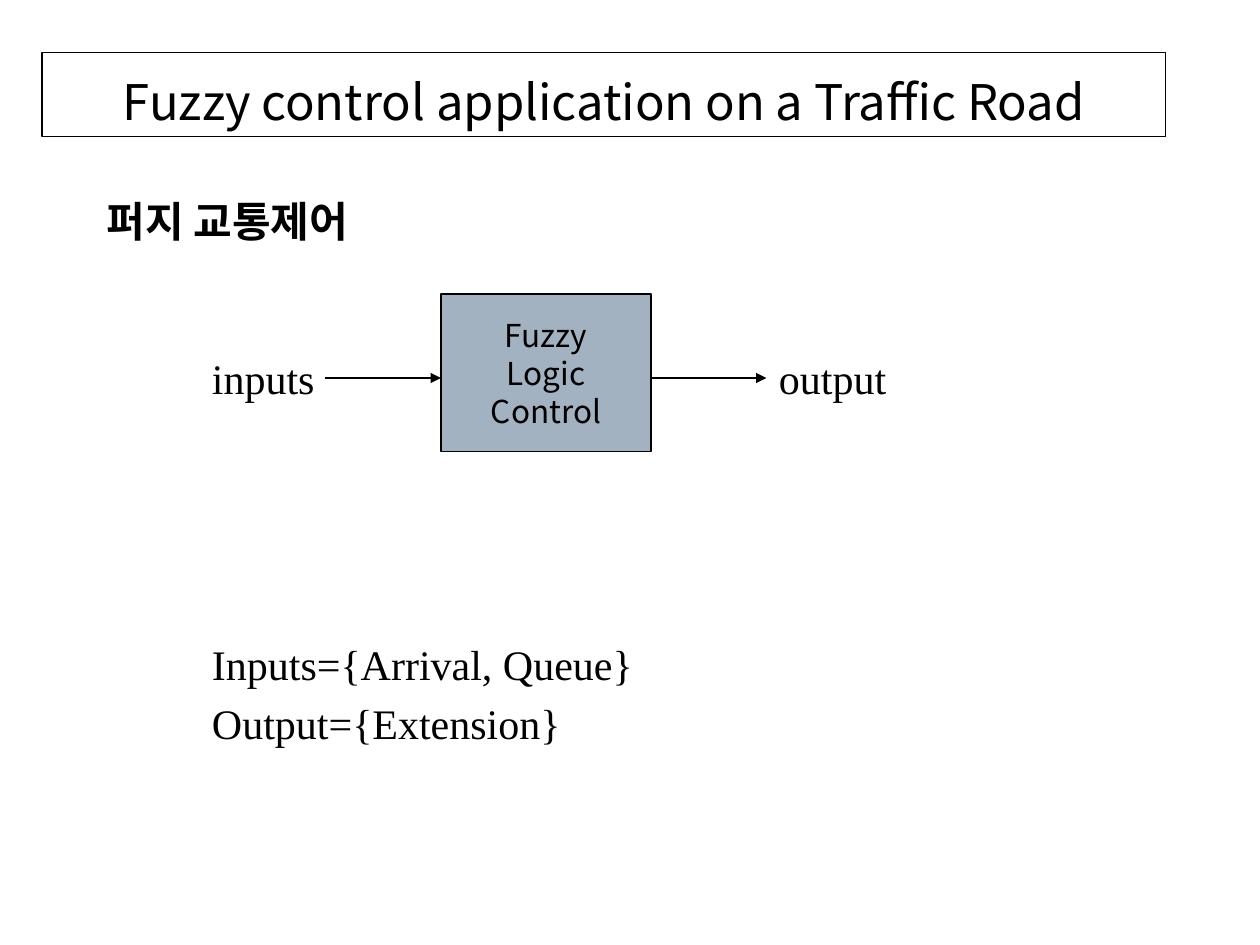
from lxml.etree import SubElement
from pptx import Presentation
from pptx.dml.color import RGBColor
from pptx.enum.shapes import MSO_CONNECTOR, MSO_SHAPE
from pptx.enum.text import MSO_ANCHOR, PP_ALIGN
from pptx.oxml.ns import qn
from pptx.util import Inches, Pt

SANS, SERIF = "Noto Sans CJK KR", "Times New Roman"
BLACK, WHITE, STEEL = "000000", "FFFFFF", "A3B2C1"
COLUMNS, ROWS = 120, 90

# Positions are left, top, width, height in grid cells.
TITLE = (["Fuzzy control application on a Traffic Road"], (4, 5, 107, 8))
CONTROLLER = (["Fuzzy", "Logic", "Control"], (42, 28, 20, 15))
HEADING = (["퍼지 교통제어"], (9, 18, 46, 6))
SETS = (["Inputs={Arrival, Queue}", "Output={Extension}"], (19, 54.5, 84.4, 23))
SIGNALS = [(["inputs"], (19, 33, 16, 6)), (["output"], (73, 33, 22, 6))]
ARROW_ROW = 36
ARROWS = [(31, 42), (62, 73)]

prs = Presentation()
prs.slide_width, prs.slide_height = Inches(10), Inches(7.5)
slide = prs.slides.add_slide(prs.slide_layouts[6])


def color(hex_string):
    return RGBColor.from_string(hex_string)


def x(column):
    return round(prs.slide_width * column / COLUMNS)


def y(row):
    return round(prs.slide_height * row / ROWS)


def place(cells):
    left, top, width, height = cells
    return x(left), y(top), x(width), y(height)


def write(frame, lines, size, font, align=PP_ALIGN.LEFT, anchor=MSO_ANCHOR.TOP,
          bold=False, before=0, wrap=True):
    frame.word_wrap = wrap
    frame.vertical_anchor = anchor
    for index, line in enumerate(lines):
        paragraph = frame.add_paragraph() if index else frame.paragraphs[0]
        paragraph.alignment = align
        paragraph.space_before = Pt(before)
        run = paragraph.add_run()
        run.text = line
        run.font.size, run.font.name, run.font.bold = Pt(size), font, bold
        run.font.color.rgb = color(BLACK)
        SubElement(run.font._element, qn("a:ea")).set("typeface", SANS)


def add_label(lines, cells, **style):
    label = slide.shapes.add_textbox(*place(cells))
    write(label.text_frame, lines, 24, SERIF, **style)


def add_box(lines, cells, fill, size, **style):
    box = slide.shapes.add_shape(MSO_SHAPE.RECTANGLE, *place(cells))
    box.shadow.inherit = False
    box.fill.solid()
    box.fill.fore_color.rgb = color(fill)
    box.line.color.rgb = color(BLACK)
    box.line.width = Pt(0.75)
    write(box.text_frame, lines, size, SANS, align=PP_ALIGN.CENTER, **style)


def add_arrow(start, end):
    arrow = slide.shapes.add_connector(
        MSO_CONNECTOR.STRAIGHT, x(start), y(ARROW_ROW), x(end), y(ARROW_ROW))
    arrow.line.color.rgb = color(BLACK)
    arrow.line.width = Pt(0.75)
    SubElement(arrow.line._get_or_add_ln(), qn("a:tailEnd")).set("type", "triangle")
    SubElement(arrow._element.spPr, qn("a:effectLst"))


add_box(*TITLE, WHITE, 28, anchor=MSO_ANCHOR.BOTTOM)
add_label(*SETS, anchor=MSO_ANCHOR.MIDDLE, before=4.8)
add_label(*HEADING, bold=True)
add_box(*CONTROLLER, STEEL, 18, anchor=MSO_ANCHOR.MIDDLE, wrap=False)
for columns in ARROWS:
    add_arrow(*columns)
for signal in SIGNALS:
    add_label(*signal)

prs.save("out.pptx")
